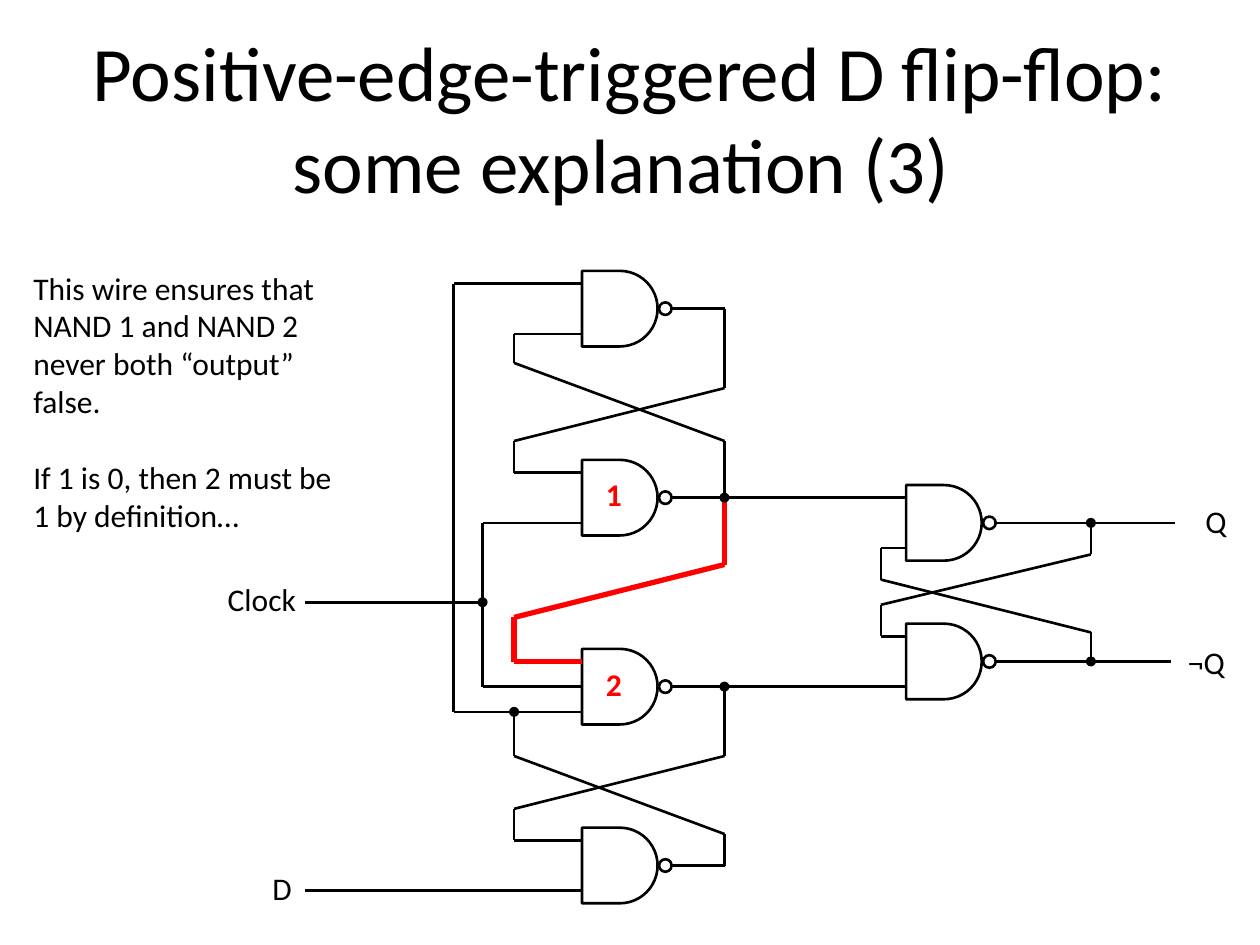
from itertools import pairwise

from lxml import etree
from pptx import Presentation
from pptx.dml.color import RGBColor
from pptx.enum.shapes import MSO_CONNECTOR, MSO_SHAPE
from pptx.enum.text import MSO_ANCHOR, PP_ALIGN
from pptx.oxml.ns import qn
from pptx.util import Pt

STRAIGHT = MSO_CONNECTOR.STRAIGHT
DELAY, OVAL = MSO_SHAPE.FLOWCHART_DELAY, MSO_SHAPE.OVAL
TOP, MIDDLE = MSO_ANCHOR.TOP, MSO_ANCHOR.MIDDLE
LEFT, CENTER, RIGHT = PP_ALIGN.LEFT, PP_ALIGN.CENTER, PP_ALIGN.RIGHT
COLORS = {"ink": "000000", "paper": "FFFFFF", "accent": "FF0000"}
FONT = "Calibri"
GATE, LEAD, GATE_OUT, BUBBLE, DOT = 43.2, 14.4, 57.6, 7.2, 5
IN_TOP, IN_MID, IN_LOW = 7.2, 21.6, 36


def rgb(name):
    """Return the named colour."""
    return RGBColor.from_string(COLORS[name])


def add_text(s, box, paras, size=18, color="ink", bold=False, align=LEFT,
             anchor=MIDDLE, wrap=True, gap=0):
    """Add a text box with one run per paragraph."""
    tf = s.shapes.add_textbox(*map(Pt, box)).text_frame
    tf.word_wrap = wrap
    tf.vertical_anchor = anchor
    for i, text in enumerate(paras):
        p = tf.paragraphs[0] if i == 0 else tf.add_paragraph()
        p.alignment = align
        p.space_before = Pt(gap if i else 0)
        r = p.add_run()
        r.text = text
        r.font.name, r.font.size, r.font.bold = FONT, Pt(size), bold
        r.font.color.rgb = rgb(color)


def add_outline(s, kind, x, y, size, fill=None, width=1.5):
    """Add a square preset shape with an ink outline."""
    sp = s.shapes.add_shape(kind, Pt(x), Pt(y), Pt(size), Pt(size))
    sp.shadow.inherit = False
    if fill:
        sp.fill.solid()
        sp.fill.fore_color.rgb = rgb(fill)
    else:
        sp.fill.background()
    sp.line.color.rgb = rgb("ink")
    sp.line.width = Pt(width)


def add_wire(s, x, y, points, color="ink", width=1.5):
    """Join points, given relative to x and y, with straight lines."""
    for (x1, y1), (x2, y2) in pairwise(points):
        ln = s.shapes.add_connector(
            STRAIGHT, Pt(x + x1), Pt(y + y1), Pt(x + x2), Pt(y + y2))
        ln.line.color.rgb = rgb(color)
        ln.line.width = Pt(width)
        etree.SubElement(ln._element.spPr, qn("a:effectLst"))


def add_dot(s, x, y):
    """Add a junction dot centred on a point."""
    add_outline(s, OVAL, x - DOT / 2, y - DOT / 2, DOT, "ink", 0.75)


def add_nand(s, x, y, inputs=(IN_TOP, IN_LOW), hot=None):
    """Draw a NAND gate with its leads; hot is the highlighted input."""
    add_outline(s, DELAY, x, y, GATE)
    add_wire(s, x, y, [(GATE, IN_MID), (GATE_OUT, IN_MID)])
    for dy in inputs:
        style = ("accent", 3) if dy == hot else ("ink", 1.5)
        add_wire(s, x, y, [(-LEAD, dy), (0, dy)], *style)
    add_outline(s, OVAL, x + 44, y + IN_MID - BUBBLE / 2, BUBBLE, "paper")


def input_stage(s, x, y):
    """Draw the four input gates, their wiring and their labels."""
    start, clk, back, gate, out, end = -85, 16.6, 34.6, 73.4, 154.8, 244.1
    pin, tap = gate - LEAD, gate + GATE_OUT
    g1, g2, g3, g4 = 0, 108, 216, 318.2
    for top in (g1, g2, g4):
        add_nand(s, x + gate, y + top)
    add_nand(s, x + gate, y + g3, (IN_TOP, IN_MID, IN_LOW), IN_TOP)
    mid1, mid2, mid3, mid4 = (g + IN_MID for g in (g1, g2, g3, g4))
    hot, low3, clock, data = g3 + IN_TOP, g3 + IN_LOW, 189.4, g4 + IN_LOW
    wires = [
        [(pin, IN_TOP), (0, IN_TOP), (0, low3), (pin, low3)],
        [(pin, g2 + IN_LOW), (clk, g2 + IN_LOW), (clk, mid3), (pin, mid3)],
        [(tap, mid1), (out, mid1), (out, 67), (back, 97.2),
         (back, g2 + IN_TOP), (pin, g2 + IN_TOP)],
        [(pin, IN_LOW), (back, IN_LOW), (back, 52.6), (out, 97.2),
         (out, 167.8)],
        [(out, mid3), (out, 277.2), (back, 307.4), (back, g4 + IN_TOP),
         (pin, g4 + IN_TOP)],
        [(back, low3), (back, 277.2), (out, 321.8), (out, mid4), (tap, mid4)],
        [(tap, mid2), (end, mid2)],
        [(tap, mid3), (end, mid3)],
        [(start, clock), (clk, clock)],
        [(start, data), (pin, data)],
    ]
    for points in wires:
        add_wire(s, x, y, points)
    add_wire(s, x, y, [(out, mid2), (out, 167.8), (back, 198), (back, hot),
                       (pin, hot)], "accent", 3)
    for dx, dy in ((clk, clock), (back, low3), (out, mid2), (out, mid3)):
        add_dot(s, x + dx, y + dy)
    for text, left, top, width in (("Clock", -175, 169.2, 92),
                                   ("D", -117.4, 334.8, 32)):
        add_text(s, (x + left, y + top, width, 36), [text], align=RIGHT)
    for text, top in (("1", 113), ("2", 221.8)):
        add_text(s, (x + 80, y + top, 24, 29), [text], color="accent",
                 bold=True, anchor=TOP, wrap=False)


def output_stage(s, x, y):
    """Draw the two cross-coupled output gates and their labels."""
    pitch, out = 79.2, 120
    q, not_q = IN_MID, pitch + IN_MID
    for top in (0, pitch):
        add_nand(s, x + LEAD, y + top)
    tap = LEAD + GATE_OUT
    for points in (
        [(0, IN_LOW), (0, 54), (out, 84.2), (out, not_q)],
        [(0, pitch + IN_TOP), (0, 68.4), (out, 39.6), (out, q)],
        [(tap, q), (168, q)],
        [(tap, not_q), (166, not_q)],
    ):
        add_wire(s, x, y, points)
    for dy in (q, not_q):
        add_dot(s, x + out, y + dy)
    add_text(s, (x + 172.6, y + 2.2, 32, 36), ["Q"], align=RIGHT)
    add_text(s, (x + 168.3, y + 82.8, 36, 36), ["¬Q"])


def main():
    """Build and save the slide."""
    prs = Presentation()
    prs.slide_width, prs.slide_height = Pt(720), Pt(540)
    s = prs.slides.add_slide(prs.slide_layouts[6])
    add_text(s, (36, 21.6, 648, 90),
             ["Positive-edge-triggered D flip-flop: some explanation (3) "],
             size=44, align=CENTER)
    input_stage(s, 259.2, 154.8)
    output_stage(s, 503.4, 277.2)
    add_text(s, (12, 150, 188, 166),
             ["This wire ensures that NAND 1 and NAND 2 never both "
              "“output” false.",
              "If 1 is 0, then 2 must be 1 by definition…"],
             anchor=TOP, gap=22)
    prs.save("out.pptx")


main()
